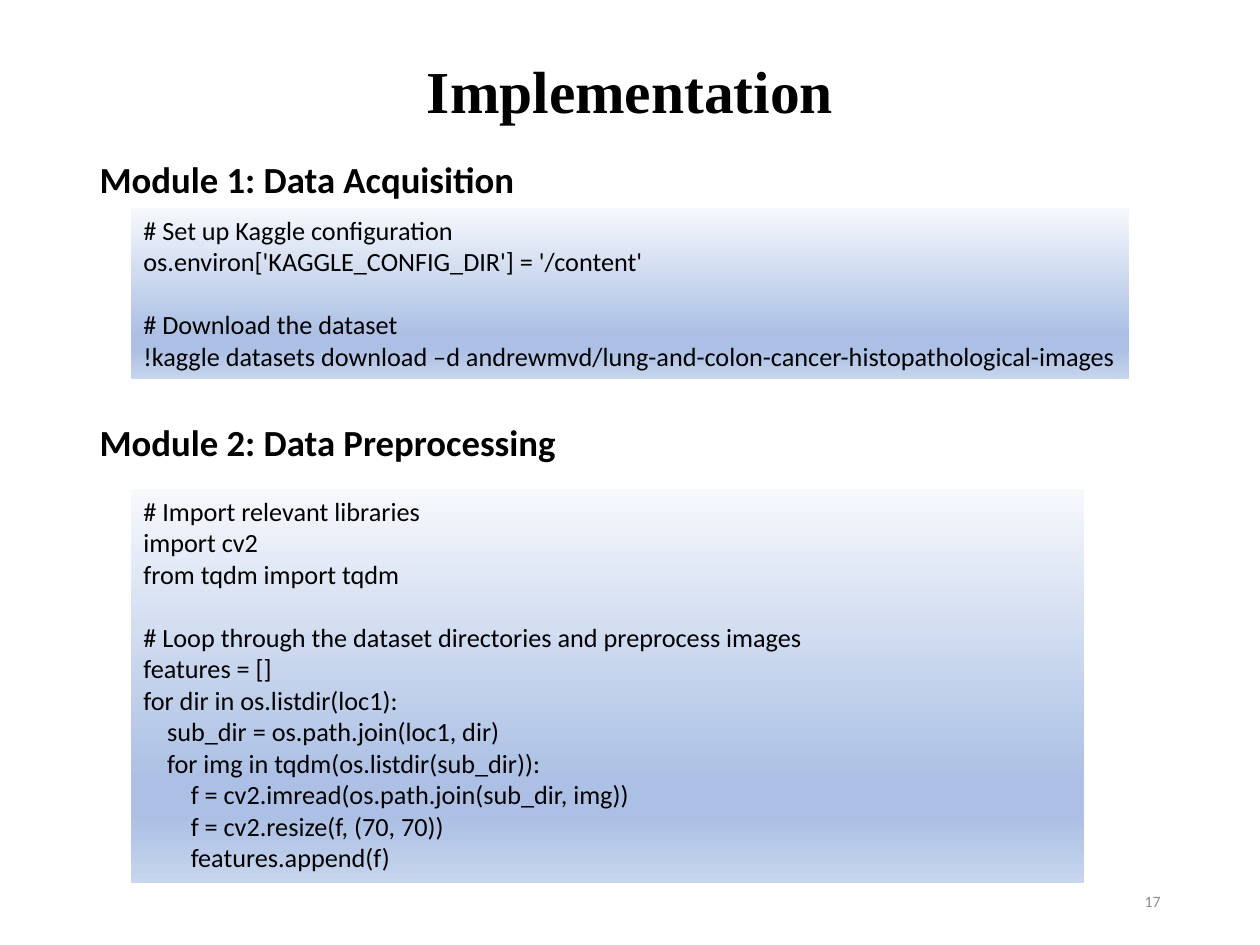
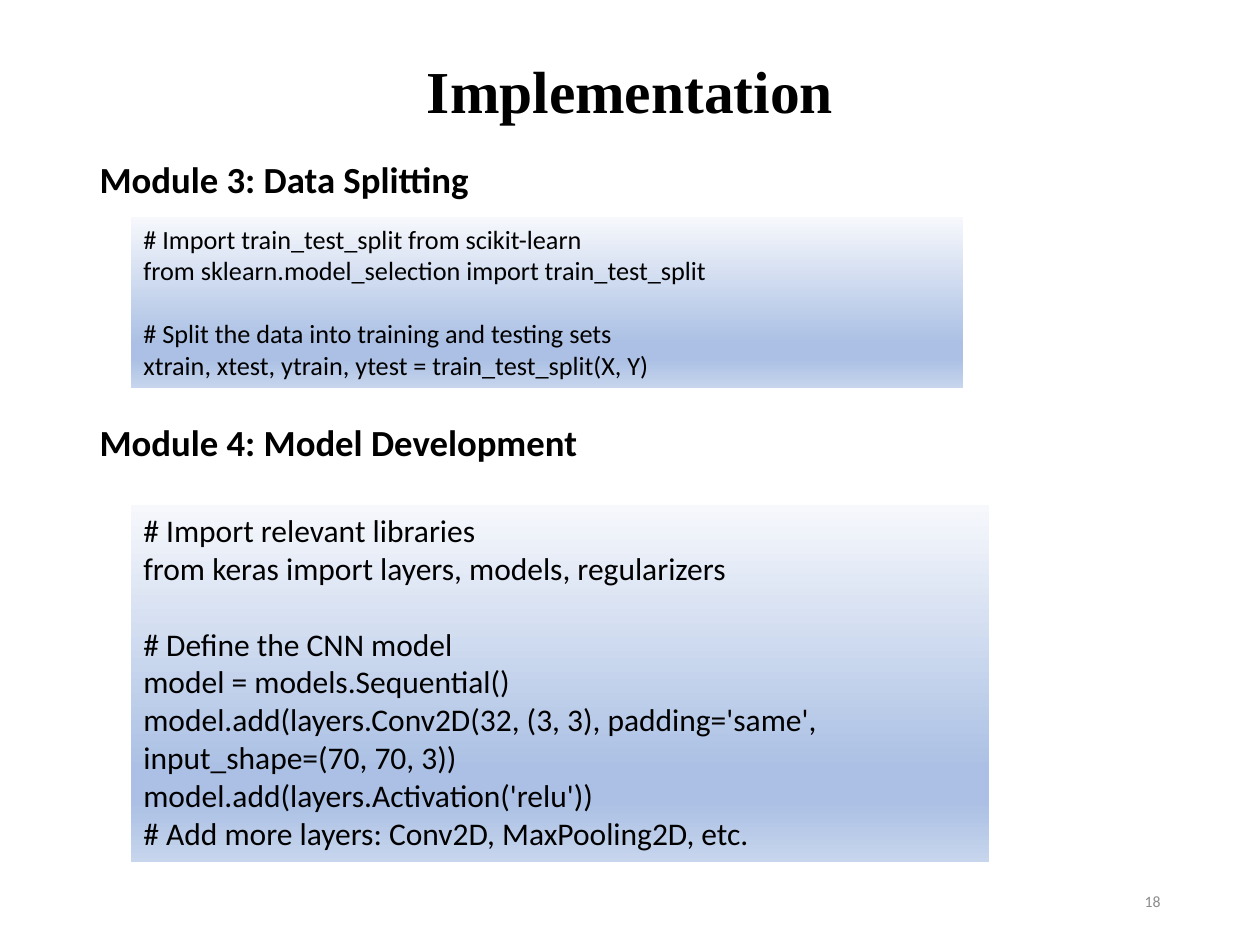
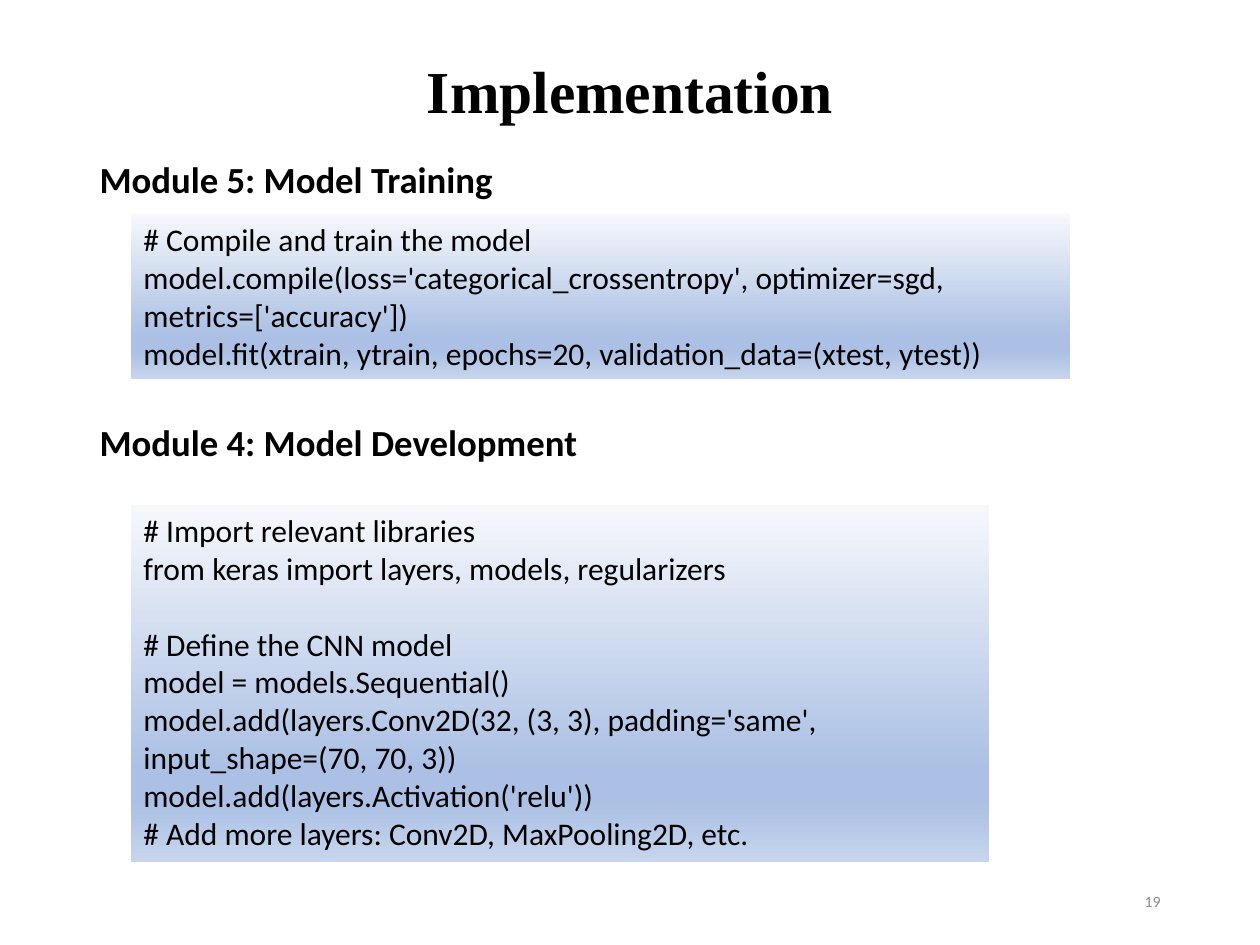
import lxml.etree
import pptx
import pptx.dml.color
import pptx.enum.shapes
import pptx.enum.text
import pptx.oxml.ns
import pptx.util

PX = 914400 / 126
BLACK, GREY = "000000", "8C8C8C"
PANEL_STOPS = [(0, "F6F8FC"), (74, "ABC0E4"), (83, "ABC0E4"), (100, "C7D5ED")]
HEADING_FONT, TEXT_FONT = "Times New Roman", "Calibri"

TITLE_BOX = (87, 62, 1086, 64)
MODULES_BOX = (87, 155, 1086, 832)
NUMBER_BOX = (890, 876, 283, 50)
PANEL_LEFT = 131
FIRST_NUMBER = 17
MODULE_GAP = 128  # points between the two module headings
CODE_LEADING = 1.2  # line height as a multiple of the text size

ACQUISITION = """\
# Set up Kaggle configuration
os.environ['KAGGLE_CONFIG_DIR'] = '/content'

# Download the dataset
!kaggle datasets download –d andrewmvd/lung-and-colon-cancer-histopathological-images"""

PREPROCESSING = """\
# Import relevant libraries
import cv2
from tqdm import tqdm

# Loop through the dataset directories and preprocess images
features = []
for dir in os.listdir(loc1):
    sub_dir = os.path.join(loc1, dir)
    for img in tqdm(os.listdir(sub_dir)):
        f = cv2.imread(os.path.join(sub_dir, img))
        f = cv2.resize(f, (70, 70))
        features.append(f)"""

SPLITTING = """\
# Import train_test_split from scikit-learn
from sklearn.model_selection import train_test_split

# Split the data into training and testing sets
xtrain, xtest, ytrain, ytest = train_test_split(X, Y)"""

DEVELOPMENT = """\
# Import relevant libraries
from keras import layers, models, regularizers

# Define the CNN model
model = models.Sequential()
model.add(layers.Conv2D(32, (3, 3), padding='same', input_shape=(70, 70, 3))
model.add(layers.Activation('relu'))
# Add more layers: Conv2D, MaxPooling2D, etc."""

TRAINING = """\
# Compile and train the model
model.compile(loss='categorical_crossentropy', optimizer=sgd, metrics=['accuracy'])
model.fit(xtrain, ytrain, epochs=20, validation_data=(xtest, ytest))"""

# Each module: heading, code, text size, panel top, width and height
DEVELOPMENT_MODULE = ("Module 4: Model Development", DEVELOPMENT, 18, 505, 858, 357)
SLIDES = [
    [("Module 1: Data Acquisition", ACQUISITION, 15, 208, 998, 171),
     ("Module 2: Data Preprocessing", PREPROCESSING, 15, 489, 953, 394)],
    [("Module 3: Data Splitting", SPLITTING, 15, 217, 832, 171),
     DEVELOPMENT_MODULE],
    [("Module 5: Model Training", TRAINING, 18, 214, 939, 165),
     DEVELOPMENT_MODULE],
]


def emu(box):
    return [pptx.util.Emu(round(length * PX)) for length in box]


def rgb(color):
    return pptx.dml.color.RGBColor.from_string(color)


def place(shape, box):
    shape.left, shape.top, shape.width, shape.height = emu(box)


def prepare_frame(shape, anchor):
    frame = shape.text_frame
    frame.word_wrap = True
    frame.auto_size = pptx.enum.text.MSO_AUTO_SIZE.NONE
    frame.vertical_anchor = anchor
    return frame


def write_lines(frame, lines, size, align, font=TEXT_FONT, color=BLACK, bold=False,
                line_spacing=1.0):
    """Write (text, points before) pairs, one paragraph each."""
    for index, (text, before) in enumerate(lines):
        paragraph = frame.add_paragraph() if index else frame.paragraphs[0]
        paragraph.alignment = align
        paragraph.line_spacing = line_spacing
        paragraph.space_before = pptx.util.Pt(before)
        run = paragraph.add_run()
        run.text = text
        run.font.name = font
        run.font.size = pptx.util.Pt(size)
        run.font.bold = bold
        run.font.color.rgb = rgb(color)


def remove_bullets(frame):
    for paragraph in frame.paragraphs:
        properties = paragraph._p.get_or_add_pPr()
        properties.set("marL", "0")
        properties.set("indent", "0")
        lxml.etree.SubElement(properties, pptx.oxml.ns.qn("a:buNone"))


def fill_gradient(shape, stops):
    """Fill from top to bottom with (percent, colour) stops."""
    qn = pptx.oxml.ns.qn
    shape.fill.gradient()
    shape.fill.gradient_angle = 270
    stop_list = shape._element.spPr.find(qn("a:gradFill")).find(qn("a:gsLst"))
    for stop in list(stop_list):
        stop_list.remove(stop)
    for percent, color in stops:
        stop = lxml.etree.SubElement(stop_list, qn("a:gs"), pos=str(percent * 1000))
        lxml.etree.SubElement(stop, qn("a:srgbClr"), val=color)


def add_title(slide, text):
    title = slide.shapes.title
    place(title, TITLE_BOX)
    frame = prepare_frame(title, pptx.enum.text.MSO_ANCHOR.MIDDLE)
    write_lines(frame, [(text, 0)], 34, pptx.enum.text.PP_ALIGN.CENTER,
                font=HEADING_FONT, bold=True, line_spacing=0.9)


def add_module_headings(slide, headings):
    body = slide.placeholders[1]
    place(body, MODULES_BOX)
    frame = prepare_frame(body, pptx.enum.text.MSO_ANCHOR.TOP)
    lines = [(heading, MODULE_GAP if index else 0) for index, heading in enumerate(headings)]
    write_lines(frame, lines, 21, pptx.enum.text.PP_ALIGN.LEFT, bold=True, line_spacing=0.9)
    remove_bullets(frame)


def add_slide_number(slide, number):
    box = slide.shapes.add_textbox(*emu(NUMBER_BOX))
    frame = prepare_frame(box, pptx.enum.text.MSO_ANCHOR.MIDDLE)
    write_lines(frame, [(str(number), 0)], 9, pptx.enum.text.PP_ALIGN.RIGHT, color=GREY)


def add_code_panel(slide, box, code, size):
    panel = slide.shapes.add_shape(pptx.enum.shapes.MSO_SHAPE.RECTANGLE, *emu(box))
    panel.shadow.inherit = False
    panel.line.fill.background()
    fill_gradient(panel, PANEL_STOPS)
    lines, before = [], 0
    for line in code.split("\n"):
        if line:
            lines.append((line, before))
        before = 0 if line else size * CODE_LEADING
    frame = prepare_frame(panel, pptx.enum.text.MSO_ANCHOR.TOP)
    write_lines(frame, lines, size, pptx.enum.text.PP_ALIGN.LEFT)


def add_implementation_slide(deck, number, modules):
    slide = deck.slides.add_slide(deck.slide_layouts[1])
    add_title(slide, "Implementation")
    add_slide_number(slide, number)
    add_module_headings(slide, [module[0] for module in modules])
    for _, code, size, top, width, height in modules:
        add_code_panel(slide, (PANEL_LEFT, top, width, height), code, size)


def main():
    deck = pptx.Presentation()
    deck.slide_width, deck.slide_height = emu((1260, 945))
    for number, modules in enumerate(SLIDES, FIRST_NUMBER):
        add_implementation_slide(deck, number, modules)
    deck.save("out.pptx")


if __name__ == "__main__":
    main()
